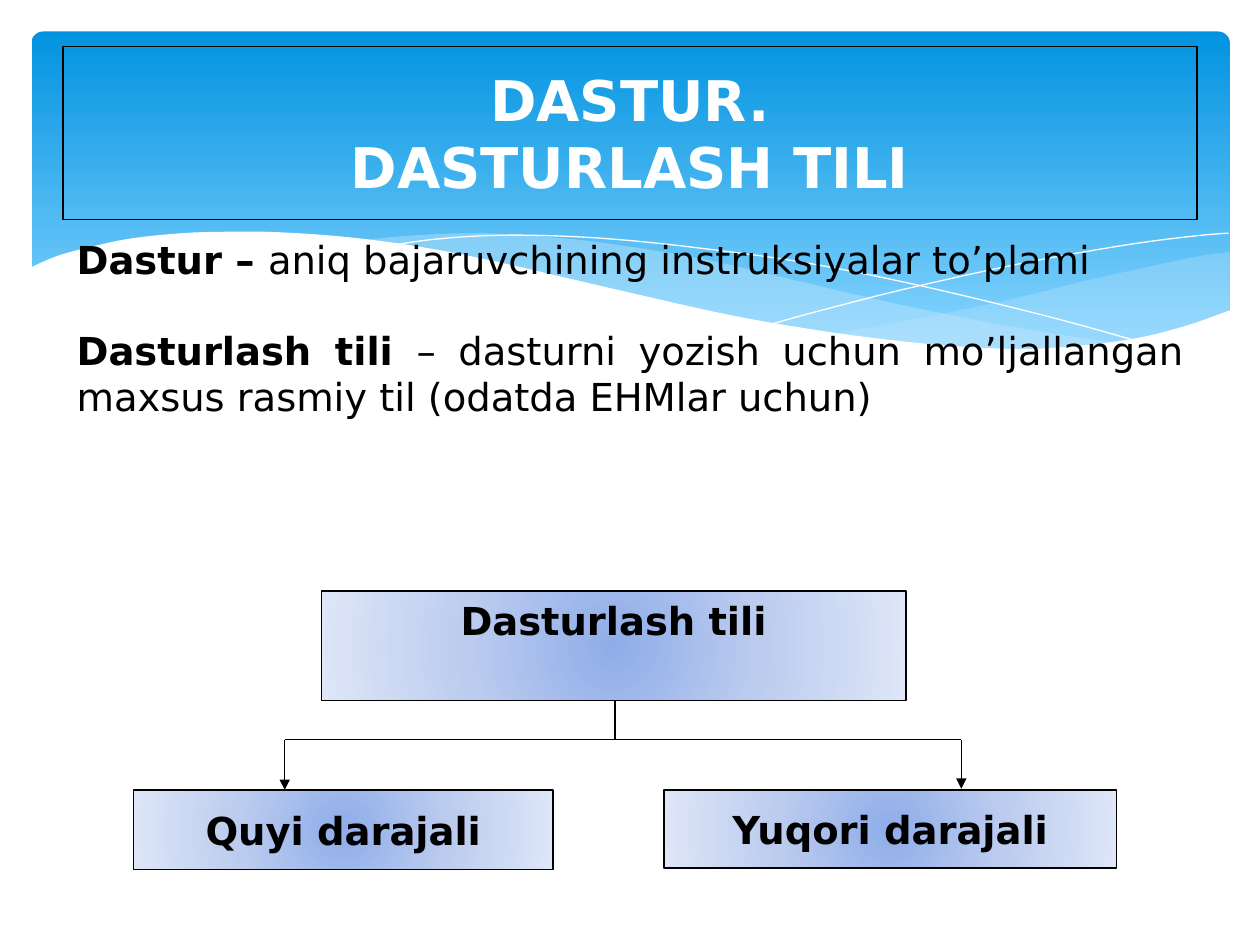
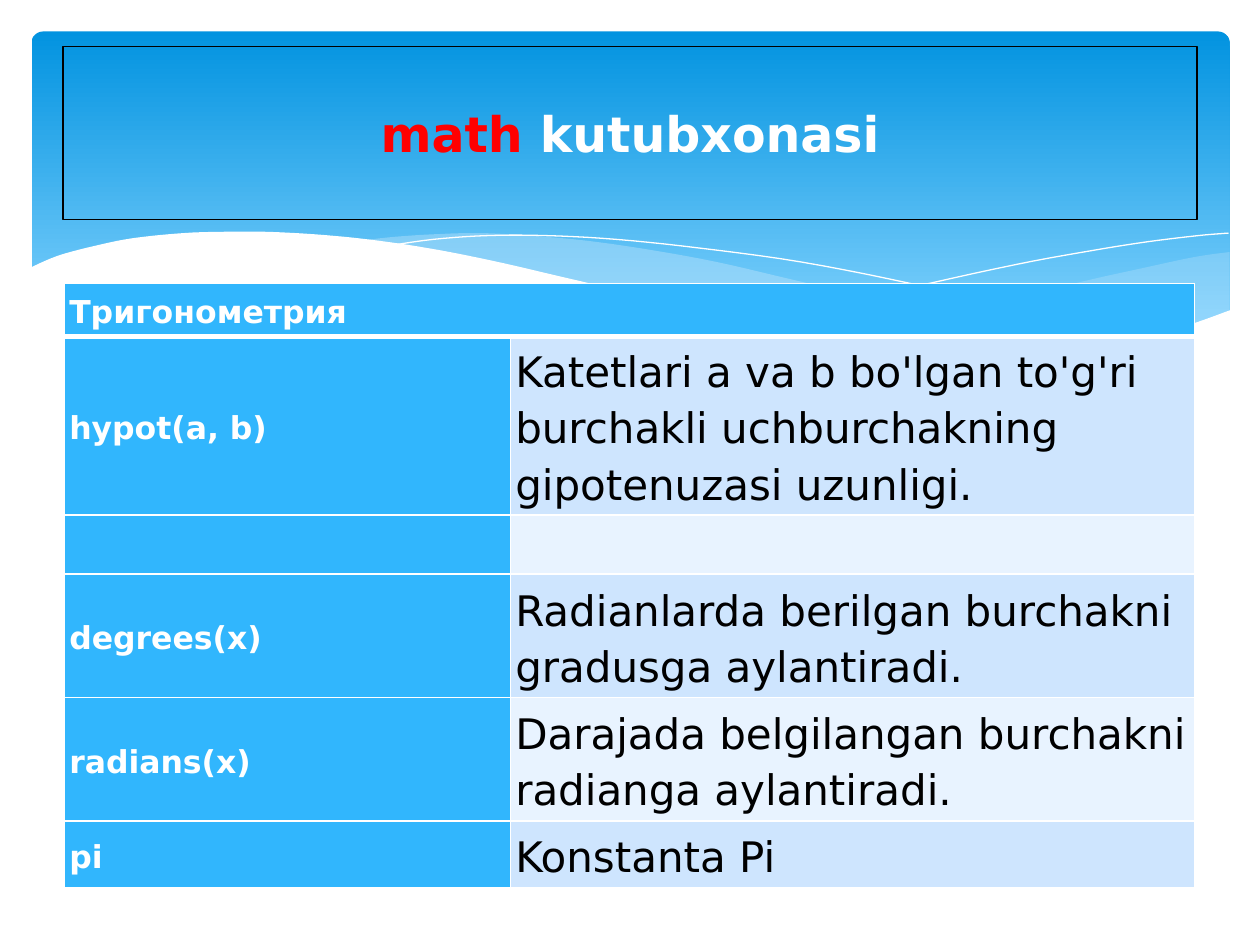
from dataclasses import dataclass
from typing import Any, Optional

from lxml.etree import SubElement
from pptx import Presentation
from pptx.dml.color import RGBColor
from pptx.enum.shapes import MSO_CONNECTOR, MSO_SHAPE
from pptx.enum.text import MSO_ANCHOR, PP_ALIGN
from pptx.oxml.ns import qn
from pptx.util import Inches, Pt

Point = tuple[float, float]
Stops = tuple[tuple[int, str], ...]

FONT = "DejaVu Sans"
WHITE, BLACK, RED = "FFFFFF", "000000", "FF0000"
PALE, BLUE = "C6E7FC", "31B6FD"
BANDS = ("CEE5FE", "E8F3FF")
SKY: Stops = ((0, "0293E0"), (90, "83D3FE"))
GLOW: Stops = ((0, "8FADE9"), (50, "BCCCEF"), (100, "DEE6F7"))


@dataclass(frozen=True)
class Run:
    text: str
    size: int = 22
    color: str = BLACK
    bold: bool = True


@dataclass(frozen=True)
class Wave:
    arcs: tuple[tuple[Point, ...], ...]
    fill: Optional[str] = None
    alpha: int = 100


@dataclass(frozen=True)
class Node:
    text: str
    area: tuple[float, float, float, float]
    anchor: MSO_ANCHOR = MSO_ANCHOR.MIDDLE


@dataclass(frozen=True)
class Link:
    start: Point
    end: Point
    arrow: bool = False


@dataclass(frozen=True)
class Row:
    name: str
    note: str
    height: float


WAVES = (
    Wave((
        ((9.76, 2), (9.48, 2.04), (9.06, 2.13), (8.61, 2.23), (8.05, 2.37),
         (7.53, 2.48), (7.06, 2.57), (6.61, 2.65)),
        ((6.61, 2.65), (7.05, 2.71), (7.45, 2.75), (7.81, 2.77), (8.14, 2.78),
         (8.54, 2.76), (8.89, 2.72), (9.21, 2.65), (9.49, 2.57), (9.76, 2.47)),
    ), PALE, 29),
    Wave((
        ((8.93, 2.73), (8.37, 2.65), (7.75, 2.54), (7.06, 2.4), (6.29, 2.22),
         (5.69, 2.08), (5.14, 1.98), (4.65, 1.91), (4.2, 1.87), (3.8, 1.85),
         (3.44, 1.86), (3.13, 1.88), (2.86, 1.91)),
        ((2.86, 1.91), (3.42, 1.99), (4.04, 2.11), (4.49, 2.22), (5.3, 2.4),
         (6.01, 2.55), (6.65, 2.66), (7.22, 2.74), (7.73, 2.77), (8.18, 2.78),
         (8.57, 2.77), (8.93, 2.73)),
    ), PALE, 40),
    Wave((
        ((3.09, 1.95), (3.44, 1.9), (3.87, 1.87), (4.33, 1.87), (4.89, 1.9),
         (5.56, 1.97), (6.36, 2.08), (7.27, 2.26), (8.31, 2.51), (9.07, 2.72)),
    )),
    Wave((
        ((6.13, 2.57), (6.53, 2.46), (7.2, 2.29), (8.06, 2.1), (8.66, 1.99),
         (9.1, 1.92), (9.51, 1.87), (9.75, 1.85)),
    )),
    Wave((
        ((9.77, 2.46), (9.4, 2.59), (8.99, 2.69), (8.5, 2.75), (8.09, 2.77),
         (7.61, 2.75), (7.08, 2.7), (6.48, 2.62), (5.79, 2.5), (5.03, 2.33),
         (4.47, 2.2), (3.91, 2.07), (3.4, 1.97), (2.92, 1.9), (2.5, 1.86),
         (2.11, 1.84), (1.77, 1.84), (1.46, 1.85), (1.06, 1.89), (0.76, 1.95),
         (0.46, 2.03), (0.23, 2.13)),
        ((0.23, 3.29), (9.77, 3.29)),
    ), WHITE),
)

NODES = (
    Node("Dasturlash tili", (2.55, 4.69, 4.64, 0.87), MSO_ANCHOR.TOP),
    Node("Quyi darajali", (1.06, 6.27, 3.33, 0.63)),
    Node("Yuqori darajali", (5.27, 6.27, 3.59, 0.62)),
)
LINKS = (
    Link((4.88, 5.56), (4.88, 5.87)),
    Link((2.26, 5.87), (7.63, 5.87)),
    Link((2.26, 5.87), (2.26, 6.27), True),
    Link((7.63, 5.87), (7.63, 6.26), True),
)
TERMS = (
    (Run("Dastur – "), Run("aniq bajaruvchining instruksiyalar to’plami", bold=False)),
    (Run("Dasturlash tili "),
     Run("– dasturni yozish uchun mo’ljallangan maxsus rasmiy til (odatda EHMlar uchun)",
         bold=False)),
)
ROWS = (
    Row("Тригонометрия", "", 0.42),
    Row("hypot(a, b)",
        "Katetlari a va b bo'lgan to'g'ri burchakli uchburchakning gipotenuzasi uzunligi.",
        1.41),
    Row("", "", 0.47),
    Row("degrees(x)", "Radianlarda berilgan burchakni gradusga aylantiradi.", 0.98),
    Row("radians(x)", "Darajada belgilangan burchakni radianga aylantiradi.", 0.98),
    Row("pi", "Konstanta Pi", 0.53),
)


def rgb(code: str) -> RGBColor:
    return RGBColor.from_string(code)


def apply(target: Any, values: dict[str, Any]) -> None:
    for key, value in values.items():
        setattr(target, key, value)


def write(para: Any, runs: tuple[Run, ...], form: dict[str, Any]) -> None:
    apply(para, form)
    for item in runs:
        for count, line in enumerate(item.text.split("\n")):
            if count:
                para.add_line_break()
            run = para.add_run()
            run.text = line
            apply(run.font, {"name": FONT, "size": Pt(item.size), "bold": item.bold})
            run.font.color.rgb = rgb(item.color)


def blend(shape: Any, stops: Stops, round_glow: bool) -> None:
    shape.fill.gradient()
    grad = shape.element.spPr.find(qn("a:gradFill"))
    for child in list(grad):
        grad.remove(child)
    group = SubElement(grad, qn("a:gsLst"))
    for place, code in stops:
        stop = SubElement(group, qn("a:gs"), pos=str(place * 1000))
        SubElement(stop, qn("a:srgbClr"), val=code)
    if round_glow:
        focus = SubElement(grad, qn("a:path"), path="circle")
        SubElement(focus, qn("a:fillToRect"), dict.fromkeys("ltrb", "50000"))
    else:
        SubElement(grad, qn("a:lin"), ang="5400000", scaled="0")


def outline(shape: Any, code: str, width: float) -> None:
    shape.line.color.rgb = rgb(code)
    shape.line.width = Pt(width)


def add_box(slide: Any, kind: MSO_SHAPE, area: tuple[float, ...]) -> Any:
    box = slide.shapes.add_shape(kind, *map(Inches, area))
    box.shadow.inherit = False
    return box


def smooth(knots: tuple[Point, ...], steps: int = 5) -> list[Point]:
    if len(knots) < 3:
        return list(knots)
    ends = (knots[0], *knots, knots[-1])
    curve = [knots[0]]
    for a, b, c, d in zip(ends, ends[1:], ends[2:], ends[3:]):
        for step in range(1, steps + 1):
            t = step / steps
            curve.append(tuple(
                b[i] + t / 2 * (c[i] - a[i]
                                + t * (2 * a[i] - 5 * b[i] + 4 * c[i] - d[i])
                                + t * t * (3 * b[i] - a[i] - 3 * c[i] + d[i]))
                for i in (0, 1)))
    return curve


def draw_wave(slide: Any, wave: Wave) -> None:
    spots = [(Inches(x), Inches(y)) for arc in wave.arcs for x, y in smooth(arc)]
    form = slide.shapes.build_freeform(*spots[0], scale=1.0)
    form.add_line_segments(spots[1:], close=wave.fill is not None)
    shape = form.convert_to_shape()
    shape.shadow.inherit = False
    if wave.fill is None:
        shape.fill.background()
        outline(shape, WHITE, 0)
        return
    shape.fill.solid()
    shape.fill.fore_color.rgb = rgb(wave.fill)
    shape.line.fill.background()
    if wave.alpha < 100:
        tint = shape.element.spPr.find(qn("a:solidFill"))[0]
        SubElement(tint, qn("a:alpha"), val=str(wave.alpha * 1000))


def start_slide(deck: Any, *title: Run) -> Any:
    slide = deck.slides.add_slide(deck.slide_layouts[6])
    band = add_box(slide, MSO_SHAPE.ROUNDED_RECTANGLE, (0.25, 0.25, 9.51, 2.7))
    band.adjustments[0] = 0.034
    blend(band, SKY, False)
    band.line.fill.background()
    for wave in WAVES:
        draw_wave(slide, wave)
    head = add_box(slide, MSO_SHAPE.RECTANGLE, (0.5, 0.37, 9, 1.37))
    head.fill.background()
    outline(head, BLACK, 0.75)
    head.text_frame.vertical_anchor = MSO_ANCHOR.MIDDLE
    write(head.text_frame.paragraphs[0], title, {"alignment": PP_ALIGN.CENTER})
    return slide


def draw_node(slide: Any, node: Node) -> None:
    box = add_box(slide, MSO_SHAPE.RECTANGLE, node.area)
    blend(box, GLOW, True)
    outline(box, BLACK, 0.75)
    apply(box.text_frame, {"vertical_anchor": node.anchor, "word_wrap": True})
    write(box.text_frame.paragraphs[0], (Run(node.text),), {"alignment": PP_ALIGN.CENTER})


def draw_link(slide: Any, link: Link) -> None:
    line = slide.shapes.add_connector(
        MSO_CONNECTOR.STRAIGHT, *map(Inches, link.start + link.end))
    outline(line, BLACK, 0.75)
    if link.arrow:
        SubElement(line.line._get_or_add_ln(), qn("a:tailEnd"), type="triangle")
    SubElement(line.element.spPr, qn("a:effectLst"))


def draw_terms(slide: Any) -> None:
    frame = slide.shapes.add_textbox(*map(Inches, (0.51, 1.82, 8.98, 1.49))).text_frame
    frame.word_wrap = True
    for count, runs in enumerate(TERMS):
        para = frame.add_paragraph() if count else frame.paragraphs[0]
        form = {"alignment": PP_ALIGN.JUSTIFY}
        if count:
            form["space_before"] = Pt(26)
        write(para, runs, form)


def fill_cell(cell: Any, run: Run, code: str, index: int) -> None:
    apply(cell, {"vertical_anchor": MSO_ANCHOR.MIDDLE,
                 **{f"margin_{side}": Inches(0.04)
                    for side in ("left", "right", "top", "bottom")}})
    props = cell._tc.get_or_add_tcPr()
    for side in "LRTB":
        thick = (index, side) in ((0, "B"), (1, "T"))
        edge = SubElement(props, qn(f"a:ln{side}"), w=str(Pt(3 if thick else 1)))
        SubElement(SubElement(edge, qn("a:solidFill")), qn("a:srgbClr"), val=WHITE)
    cell.fill.solid()
    cell.fill.fore_color.rgb = rgb(code)
    if run.text:
        write(cell.text_frame.paragraphs[0], (run,), {"line_spacing": 1.15})


def draw_table(slide: Any) -> None:
    area = map(Inches, (0.51, 2.25, 8.98, sum(row.height for row in ROWS)))
    table = slide.shapes.add_table(len(ROWS), 2, *area).table
    for column, width in zip(table.columns, (3.54, 5.43)):
        column.width = Inches(width)
    for index, row in enumerate(ROWS):
        table.rows[index].height = Inches(row.height)
        tone = BANDS[(index - 1) % 2] if index else BLUE
        fill_cell(table.cell(index, 0), Run(row.name, 18, WHITE), BLUE, index)
        fill_cell(table.cell(index, 1), Run(row.note, 24, bold=False), tone, index)
    table.cell(0, 0).merge(table.cell(0, 1))


def main() -> None:
    deck = Presentation()
    apply(deck, {"slide_width": Inches(10), "slide_height": Inches(7.5)})
    first = start_slide(deck, Run("DASTUR.\nDASTURLASH TILI", 32, WHITE))
    for node in NODES:
        draw_node(first, node)
    for link in LINKS:
        draw_link(first, link)
    draw_terms(first)
    second = start_slide(deck, Run("math ", 28, RED), Run("kutubxonasi", 28, WHITE))
    draw_table(second)
    deck.save("out.pptx")


if __name__ == "__main__":
    main()
